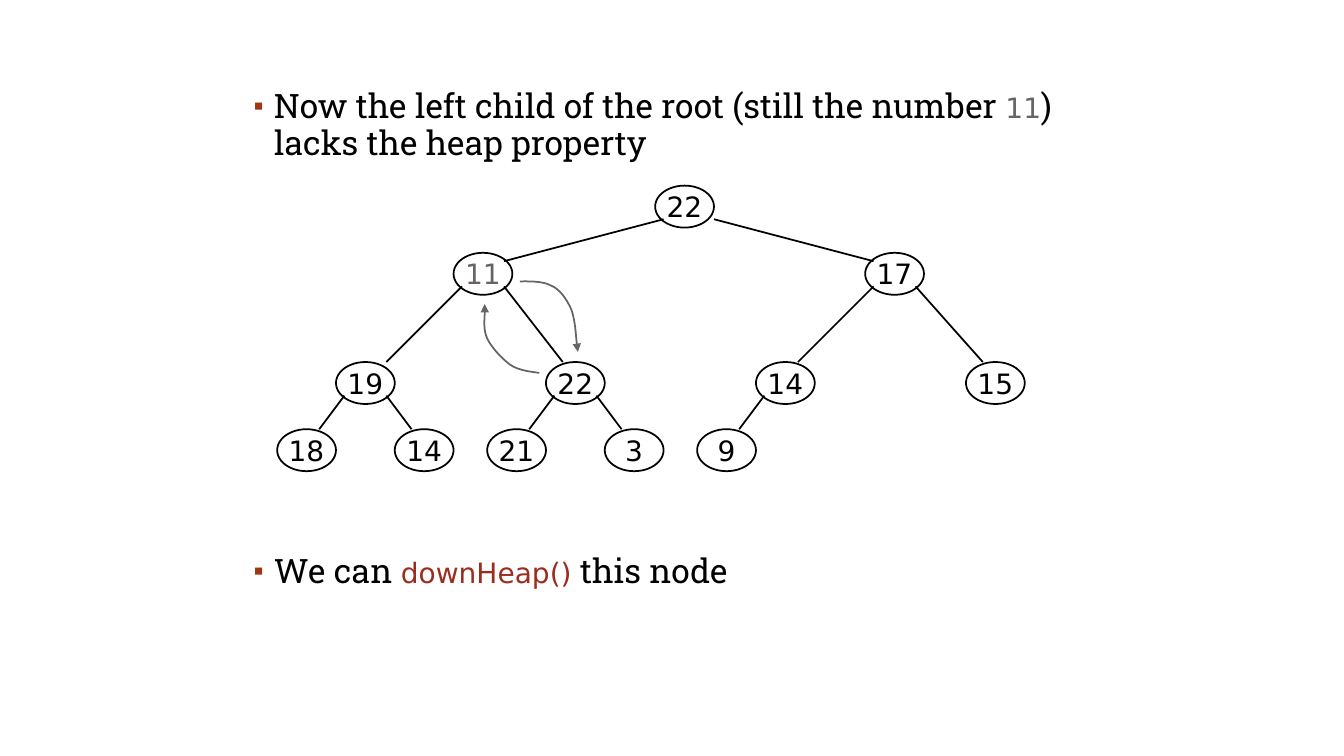
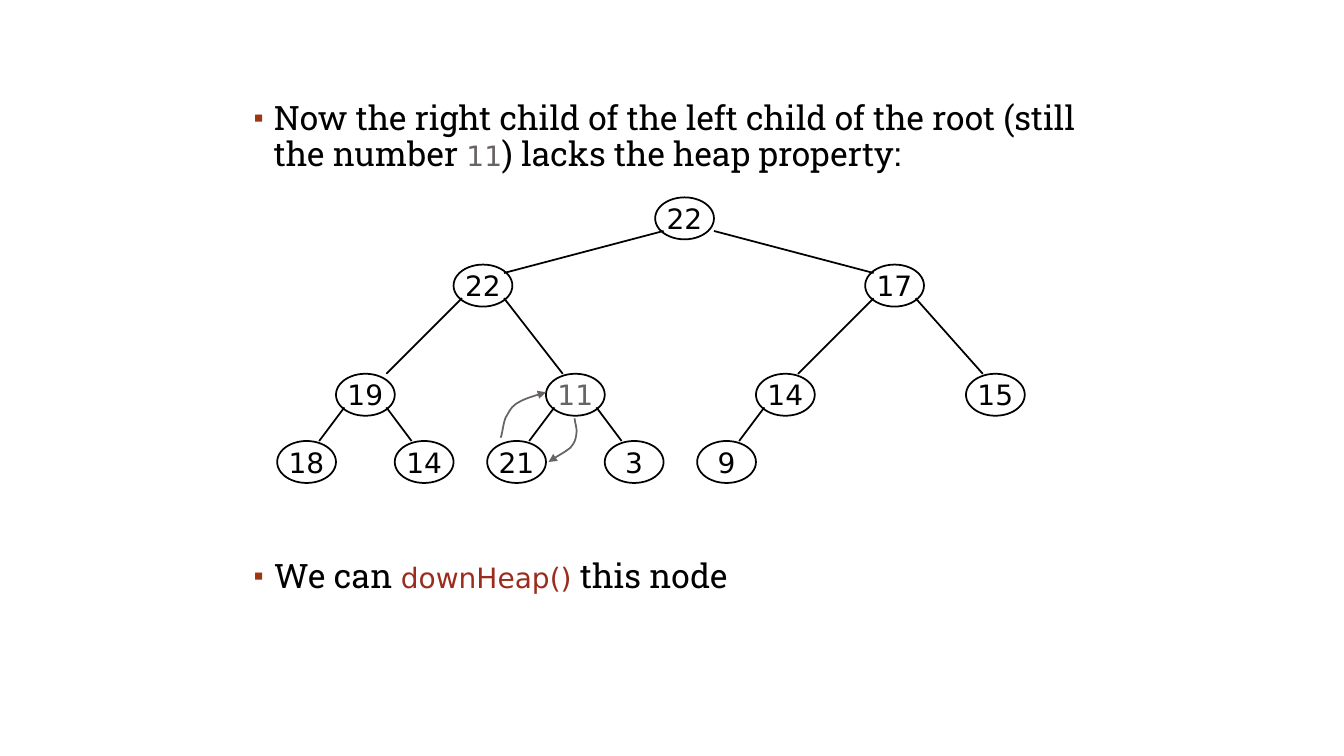
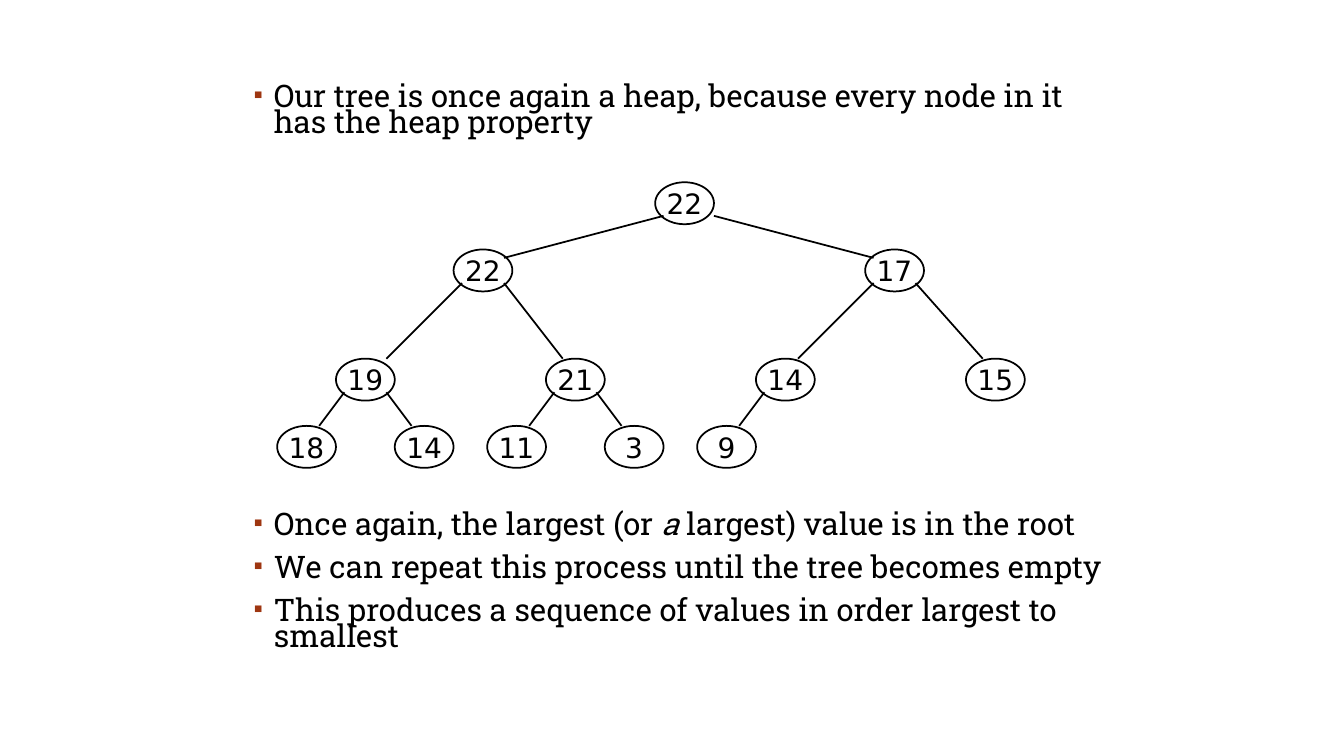
import pptx
import pptx.dml.color
import pptx.enum.shapes
import pptx.enum.text
import pptx.oxml
import pptx.oxml.ns
import pptx.util
import lxml.etree

PX = 7620  # EMU in one px, 120 px to the inch
NODE_WIDTH, NODE_HEIGHT = 70, 50
LEVEL_TOPS = (0, 80, 210, 290)

# In heap order: left edge, level, and where the edge from the parent arrives.
NODES = [
    (780, 0, None),
    (540, 1, (60, 10)), (1030, 1, (10, 10)),
    (400, 2, (60, 0)), (650, 2, (20, 0)), (900, 2, (50, 0)), (1150, 2, (20, 0)),
    (330, 3, (50, 0)), (470, 3, (20, 0)), (580, 3, (50, 0)), (720, 3, (20, 0)),
    (830, 3, (50, 0)),
]


class Theme:
    black = "000000"
    moved = "696464"
    code = "9B2D1F"
    bullet = "9E3611"
    text_font = "Roboto Slab"
    code_font = "DejaVu Sans"
    text_size = 24
    tight_size = 22.2
    node_size = 20
    line_width = 1.25
    spacing = 0.9
    tight_spacing = 0.7


def rgb(value):
    return pptx.dml.color.RGBColor.from_string(value)


def set_font(font, name, size, color):
    font.name = name
    font.size = pptx.util.Pt(size)
    font.color.rgb = rgb(color)


def append_xml(parent, tag, **attributes):
    return lxml.etree.SubElement(parent, pptx.oxml.ns.qn(tag), attributes)


class Deck:
    def __init__(self, theme):
        self.theme = theme
        self.presentation = pptx.Presentation()
        self.presentation.slide_width = 1600 * PX
        self.presentation.slide_height = 900 * PX
        self.slide = None

    def add_slide(self, upper, lower):
        """Start a slide; upper and lower are (box, paragraphs, tight)."""
        layout = self.presentation.slide_layouts.get_by_name("Two Content")
        self.slide = self.presentation.slides.add_slide(layout)
        title, *bodies = self.slide.placeholders
        title.element.getparent().remove(title.element)
        for body, content in zip(bodies, (upper, lower)):
            self.fill_body(body, *content)

    def fill_body(self, body, box, paragraphs, tight=False):
        body.left, body.top, body.width, body.height = (value * PX for value in box)
        frame = body.text_frame
        frame.word_wrap = True
        frame.auto_size = pptx.enum.text.MSO_AUTO_SIZE.NONE
        for index, pieces in enumerate(paragraphs):
            paragraph = frame.paragraphs[0] if index == 0 else frame.add_paragraph()
            self.format_bullet(paragraph, tight)
            for text, style in pieces:
                self.add_run(paragraph, text, style)

    def format_bullet(self, paragraph, tight):
        theme = self.theme
        paragraph.line_spacing = theme.tight_spacing if tight else theme.spacing
        paragraph.space_before = pptx.util.Pt(12)
        properties = paragraph._p.get_or_add_pPr()
        properties.set("marL", str(24 * PX))
        properties.set("indent", str(-24 * PX))
        color = append_xml(properties, "a:buClr")
        append_xml(color, "a:srgbClr", val=theme.bullet)
        append_xml(properties, "a:buSzPct", val="85000")
        append_xml(properties, "a:buChar", char="▪")
        size = theme.tight_size if tight else theme.text_size
        set_font(paragraph.font, theme.text_font, size, theme.black)

    def add_run(self, paragraph, text, style):
        theme = self.theme
        run = paragraph.add_run()
        run.text = text
        if style == "italic":
            run.font.italic = True
        elif style in ("moved", "code"):
            color = theme.moved if style == "moved" else theme.code
            set_font(run.font, theme.code_font, theme.node_size, color)

    def format_line(self, line, color):
        line.color.rgb = rgb(color)
        line.width = pptx.util.Pt(self.theme.line_width)

    def add_tree(self, top, values, moved=None):
        """Draw the heap; moved is the index of the node shown in grey."""
        group = self.slide.shapes.add_group_shape()
        corners = [(left, top + LEVEL_TOPS[level]) for left, level, _ in NODES]
        for index in range(1, len(NODES)):
            parent = (index - 1) // 2
            if index % 2:
                leave = 10
            else:
                leave = 70 if parent == 0 else 60
            x, y = corners[parent]
            child_x, child_y = corners[index]
            dx, dy = NODES[index][2]
            self.add_edge(group, (x + leave, y + 40), (child_x + dx, child_y + dy))
        for index, (corner, value) in enumerate(zip(corners, values)):
            color = self.theme.moved if index == moved else self.theme.black
            self.add_node(group, corner, value, color)

    def add_edge(self, group, start, end):
        connector = group.shapes.add_connector(
            pptx.enum.shapes.MSO_CONNECTOR.STRAIGHT,
            *(value * PX for value in start + end))
        self.format_line(connector.line, self.theme.black)
        append_xml(connector.element.spPr, "a:effectLst")

    def add_node(self, group, corner, value, color):
        theme = self.theme
        left, top = corner
        shape = group.shapes.add_shape(
            pptx.enum.shapes.MSO_SHAPE.OVAL,
            left * PX, top * PX, NODE_WIDTH * PX, NODE_HEIGHT * PX)
        shape.shadow.inherit = False
        shape.fill.background()
        self.format_line(shape.line, theme.black)
        frame = shape.text_frame
        frame.word_wrap = False
        frame.vertical_anchor = pptx.enum.text.MSO_ANCHOR.MIDDLE
        paragraph = frame.paragraphs[0]
        paragraph.text = str(value)
        paragraph.alignment = pptx.enum.text.PP_ALIGN.CENTER
        set_font(paragraph.font, theme.code_font, theme.node_size, color)

    def add_curved_arrow(self, *points):
        """Draw cubic curves: a start, then two controls and an end for each."""
        start, *others = [(x * PX, y * PX) for x, y in points]
        builder = self.slide.shapes.build_freeform(*start)
        builder.add_line_segments(others, close=False)
        shape = builder.convert_to_shape()
        segments = list(shape.element.iter(pptx.oxml.ns.qn("a:lnTo")))
        for index in range(0, len(segments), 3):
            curve = lxml.etree.Element(pptx.oxml.ns.qn("a:cubicBezTo"))
            segments[index].addprevious(curve)
            for segment in segments[index:index + 3]:
                curve.append(segment[0])
                segment.getparent().remove(segment)
        shape.shadow.inherit = False
        shape.fill.background()
        self.format_line(shape.line, self.theme.moved)
        append_xml(shape.element.spPr.get_or_add_ln(), "a:tailEnd", type="triangle")


def main():
    deck = Deck(Theme())
    down_heap = [[("We can ", "text"), ("downHeap()", "code"), (" this node", "text")]]

    deck.add_slide(
        ((290, 101, 1020, 130), [[
            ("Now the left child of the root (still the number ", "text"),
            ("11", "moved"),
            (") lacks the heap property", "text")]]),
        ((290, 654, 1020, 190), down_heap))
    deck.add_tree(221, (22, 11, 17, 19, 22, 14, 15, 18, 14, 21, 3, 9), moved=1)
    deck.add_curved_arrow(
        (619, 335), (625, 335), (646, 334), (656, 340), (666, 344),
        (674, 355), (680, 368), (685, 382), (686, 409), (688, 419))
    deck.add_curved_arrow(
        (642, 444), (637, 443), (618, 442), (607, 434), (598, 427),
        (586, 415), (580, 403), (575, 391), (578, 371), (577, 362))

    deck.add_slide(
        ((290, 115, 1020, 130), [[
            ("Now the right child of the left child of the root (still the number ",
             "text"),
            ("11", "moved"),
            (") lacks the heap property:", "text")]]),
        ((290, 660, 1020, 190), down_heap))
    deck.add_tree(235, (22, 22, 17, 19, 11, 14, 15, 18, 14, 21, 3, 9), moved=4)
    deck.add_curved_arrow(
        (596, 521), (598, 517), (599, 504), (602, 497), (606, 491),
        (607, 486), (614, 481), (623, 475), (643, 469), (650, 467))
    deck.add_curved_arrow(
        (684, 498), (684, 502), (688, 512), (686, 518), (685, 524),
        (684, 527), (679, 533), (673, 538), (658, 546), (653, 550))

    deck.add_slide(
        ((290, 97, 1020, 130), [[
            ("Our tree is once again a heap, because every node in it "
             "has the heap property", "text")]], True),
        ((290, 607, 1090, 190), [
            [("Once again, the largest (or", "text"), (" a", "italic"),
             (" largest) value is in the root", "text")],
            [("We can repeat this process until the tree becomes empty", "text")],
            [("This produces a sequence of values in order largest to smallest",
              "text")]], True))
    deck.add_tree(217, (22, 22, 17, 19, 21, 14, 15, 18, 14, 11, 3, 9))

    deck.presentation.save("out.pptx")


if __name__ == "__main__":
    main()
